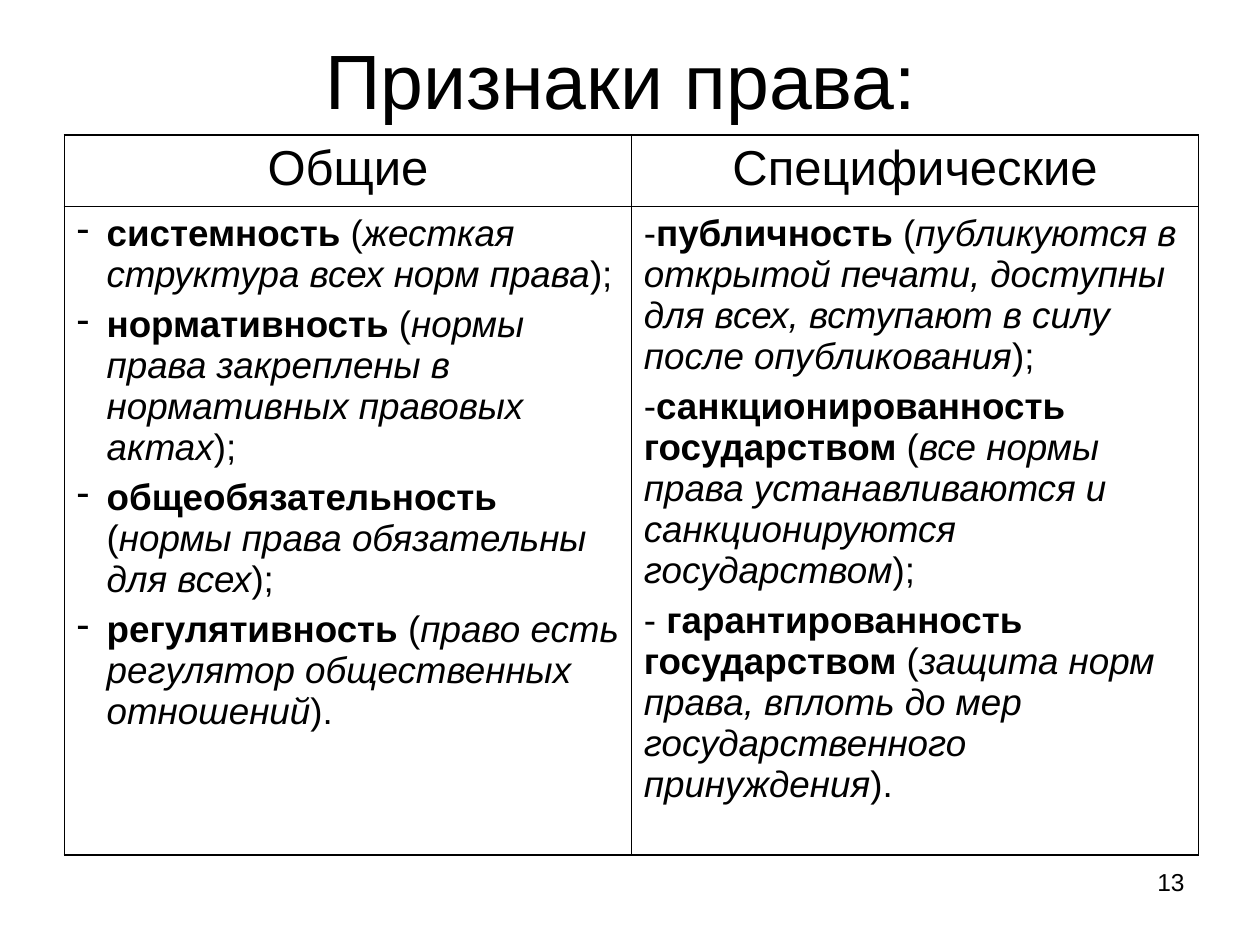
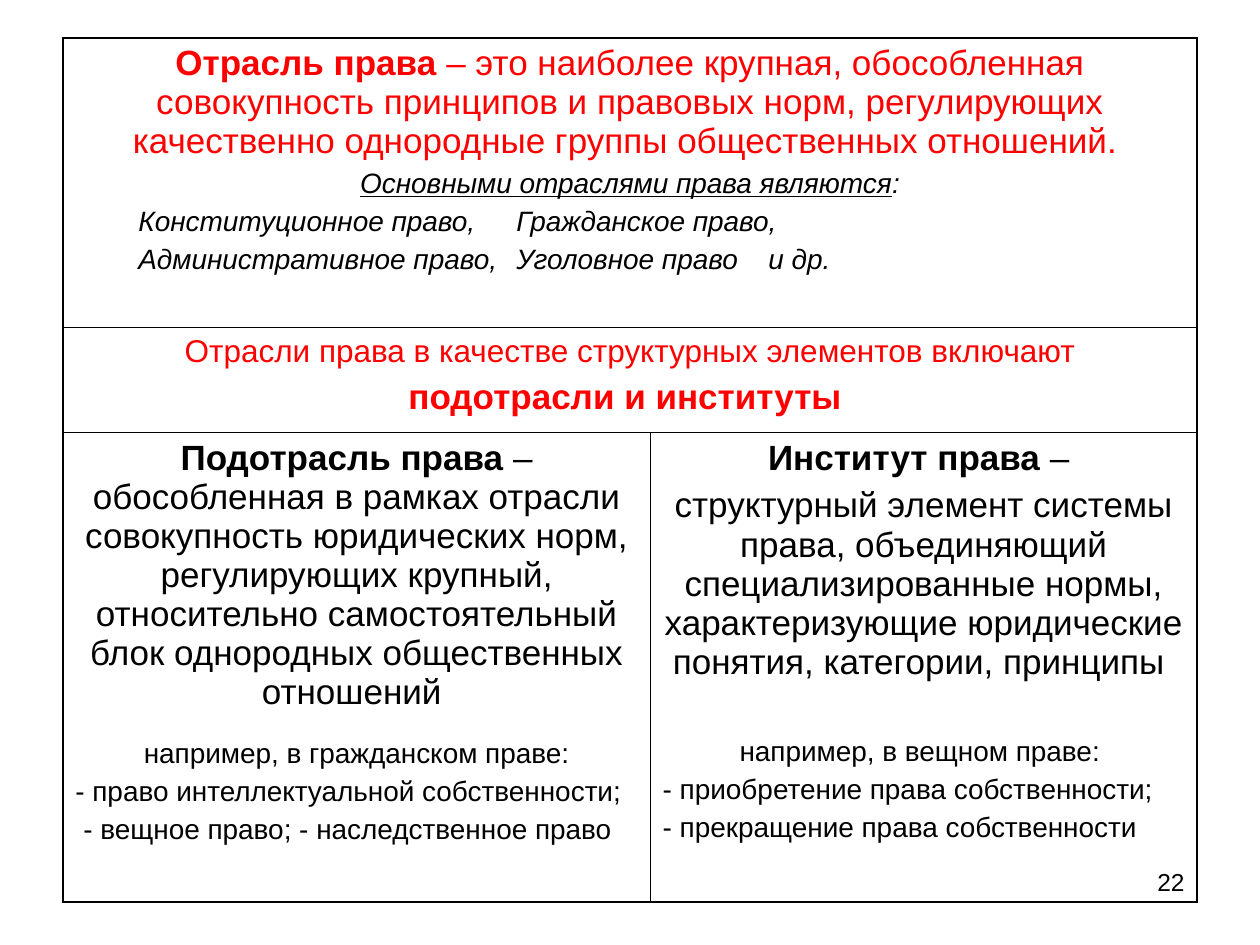
from dataclasses import dataclass
from typing import Optional

from lxml.etree import SubElement
from pptx import Presentation
from pptx.dml.color import RGBColor
from pptx.enum.text import MSO_ANCHOR, PP_ALIGN
from pptx.oxml.ns import qn
from pptx.util import Cm, Length, Pt


@dataclass(frozen=True)
class Theme:
    font: str = "Arial"
    ink: str = "000000"
    accent: str = "FF0000"
    title_size: float = 44
    header_size: float = 28
    feature_size: float = 21
    body_size: float = 20
    lead_size: float = 18
    example_size: float = 16
    number_size: float = 14
    outer_line: float = 1.08
    inner_line: float = 0.45
    side_margin: Length = Cm(0.25)
    top_margin: Length = Cm(0.13)


THEME = Theme()


@dataclass(frozen=True)
class Span:
    text: str
    bold: bool = False
    italic: bool = False
    underline: bool = False


@dataclass(frozen=True)
class Para:
    spans: tuple[Span, ...]
    size: float = THEME.body_size
    color: str = THEME.ink
    align: PP_ALIGN = PP_ALIGN.CENTER
    before: float = 5
    bullet: Optional[str] = None
    indent: Length = Cm(0)
    tabs: tuple[Length, ...] = ()


@dataclass(frozen=True)
class Box:
    left: Length
    top: Length
    width: Length
    height: Length


@dataclass(frozen=True)
class Grid:
    """A table: cells maps (row, column) to text; merged_rows span all columns."""
    left: Length
    top: Length
    columns: tuple[Length, ...]
    rows: tuple[Length, ...]
    cells: dict[tuple[int, int], list[Para]]
    merged_rows: tuple[int, ...] = ()


TITLE_BOX = Box(Cm(1.09), Cm(0.53), Cm(22.86), Cm(2.13))
NUMBER_BOX = Box(Cm(18.21), Cm(17.35), Cm(5.92), Cm(1.32))


def feature(dash: str, term: str, meaning: str, end: str = ");", bullet: Optional[str] = None) -> Para:
    spans = (Span(term, bold=True), Span(" ("), Span(meaning, italic=True), Span(end))
    if dash:
        spans = (Span(dash), *spans)
    return Para(spans, THEME.feature_size, align=PP_ALIGN.LEFT, before=5.2, bullet=bullet,
                indent=Cm(0.6) if bullet else Cm(0))


def example(text: str, align: PP_ALIGN = PP_ALIGN.LEFT, before: float = 4, indent: Length = Cm(0)) -> Para:
    return Para((Span(text),), THEME.example_size, align=align, before=before, indent=indent)


def branches(text: str, *tabs: Length) -> Para:
    """A line of law branches, each set at its own tab stop."""
    return Para((Span(text, italic=True),), THEME.example_size, align=PP_ALIGN.LEFT, before=4, tabs=tabs)


def write(text_frame, paragraphs: list[Para]) -> None:
    for index, source in enumerate(paragraphs):
        paragraph = text_frame.paragraphs[0] if index == 0 else text_frame.add_paragraph()
        paragraph.alignment = source.align
        if index:
            paragraph.space_before = Pt(source.before)
        properties = paragraph._p.get_or_add_pPr()
        properties.set("marL", str(source.indent))
        properties.set("indent", str(-source.indent if source.bullet else 0))
        if source.bullet:
            SubElement(properties, qn("a:buChar"), char=source.bullet)
        else:
            SubElement(properties, qn("a:buNone"))
        if source.tabs:
            stops = SubElement(properties, qn("a:tabLst"))
            for position in source.tabs:
                SubElement(stops, qn("a:tab"), pos=str(position), algn="l")
        for span in source.spans:
            run = paragraph.add_run()
            run.text = span.text
            run.font.name = THEME.font
            run.font.size = Pt(source.size)
            run.font.color.rgb = RGBColor.from_string(source.color)
            run.font.bold = span.bold
            run.font.italic = span.italic
            run.font.underline = span.underline


def add_text(slide, box: Box, paragraph: Para, anchor: MSO_ANCHOR = MSO_ANCHOR.TOP) -> None:
    shape = slide.shapes.add_textbox(box.left, box.top, box.width, box.height)
    frame = shape.text_frame
    frame.word_wrap = True
    frame.vertical_anchor = anchor
    write(frame, [paragraph])


def add_page_number(slide, number: int) -> None:
    add_text(slide, NUMBER_BOX, Para((Span(str(number)),), THEME.number_size, align=PP_ALIGN.RIGHT))


def set_borders(cell, outer_sides: dict[str, bool]) -> None:
    properties = cell._tc.get_or_add_tcPr()
    for side, is_outer in outer_sides.items():
        width = Pt(THEME.outer_line if is_outer else THEME.inner_line)
        line = SubElement(properties, qn(f"a:ln{side}"), w=str(width))
        fill = SubElement(line, qn("a:solidFill"))
        SubElement(fill, qn("a:srgbClr"), val=THEME.ink)


def add_grid(slide, grid: Grid) -> None:
    row_count, column_count = len(grid.rows), len(grid.columns)
    table = slide.shapes.add_table(row_count, column_count, grid.left, grid.top,
                                   sum(grid.columns), sum(grid.rows)).table
    table.first_row = table.horz_banding = False
    for column, width in zip(table.columns, grid.columns):
        column.width = width
    for row, height in zip(table.rows, grid.rows):
        row.height = height
    for row in grid.merged_rows:
        table.cell(row, 0).merge(table.cell(row, column_count - 1))
    for (row, column), paragraphs in grid.cells.items():
        cell = table.cell(row, column)
        cell.margin_left = cell.margin_right = THEME.side_margin
        cell.margin_top = cell.margin_bottom = THEME.top_margin
        set_borders(cell, {
            "L": column == 0,
            "R": row in grid.merged_rows or column == column_count - 1,
            "T": row == 0,
            "B": row == row_count - 1,
        })
        cell.fill.background()
        write(cell.text_frame, paragraphs)


LAW_FEATURES = Grid(
    left=Cm(1.3), top=Cm(2.72),
    columns=(Cm(11.43), Cm(11.43)), rows=(Cm(1.44), Cm(13.07)),
    cells={
        (0, 0): [Para((Span("Общие"),), THEME.header_size)],
        (0, 1): [Para((Span("Специфические"),), THEME.header_size)],
        (1, 0): [
            feature("", "системность", "жесткая структура всех норм права", bullet="-"),
            feature("", "нормативность", "нормы права закреплены в нормативных правовых актах", bullet="-"),
            feature("", "общеобязательность", "нормы права обязательны для всех", bullet="-"),
            feature("", "регулятивность", "право есть регулятор общественных отношений", ").", bullet="-"),
        ],
        (1, 1): [
            feature("-", "публичность",
                    "публикуются в открытой печати, доступны для всех, вступают в силу после опубликования"),
            feature("-", "санкционированность государством",
                    "все нормы права устанавливаются и санкционируются государством"),
            feature("- ", "гарантированность государством",
                    "защита норм права, вплоть до мер государственного принуждения", ")."),
        ],
    },
)

LAW_BRANCHES = Grid(
    left=Cm(1.27), top=Cm(0.76),
    columns=(Cm(11.84), Cm(11.02)), rows=(Cm(5.84), Cm(2.11), Cm(9.47)),
    merged_rows=(0, 1),
    cells={
        (0, 0): [
            Para((Span("Отрасль права", bold=True),
                  Span(" – это наиболее крупная, обособленная совокупность принципов и правовых норм, "
                       "регулирующих качественно однородные группы общественных отношений. ")),
                 color=THEME.accent),
            Para((Span("Основными отраслями права являются", italic=True, underline=True),
                  Span(":", italic=True)), THEME.example_size, before=4),
            branches("\tКонституционное право,\tГражданское право,", Cm(4.45), Cm(12.49)),
            branches("\tАдминистративное право,\tУголовное право\tи др.", Cm(3.76), Cm(12.39), Cm(17.32)),
        ],
        (1, 0): [
            Para((Span("Отрасли права в качестве структурных элементов включают"),),
                 THEME.lead_size, THEME.accent),
            Para((Span("подотрасли и институты ", bold=True),), color=THEME.accent),
        ],
        (2, 0): [
            Para((Span("Подотрасль права", bold=True),
                  Span(" – обособленная в рамках отрасли совокупность юридических норм, регулирующих "
                       "крупный, относительно самостоятельный блок однородных общественных отношений "))),
            example("например, в гражданском праве:", PP_ALIGN.CENTER, before=15),
            example("- право интеллектуальной собственности;"),
            example("- вещное право; - наследственное право", indent=Cm(0.16)),
        ],
        (2, 1): [
            Para((Span("Институт права", bold=True), Span(" – "))),
            Para((Span("структурный элемент системы права, объединяющий специализированные нормы, "
                       "характеризующие юридические понятия, категории, принципы "),)),
            example("например, в вещном праве: ", PP_ALIGN.CENTER, before=31.3),
            example("- приобретение права собственности;"),
            example("- прекращение права собственности"),
        ],
    },
)


def main() -> None:
    presentation = Presentation()
    presentation.slide_width, presentation.slide_height = Cm(25.4), Cm(19.05)
    blank_layout = presentation.slide_layouts[6]

    features_slide = presentation.slides.add_slide(blank_layout)
    add_page_number(features_slide, 13)
    add_text(features_slide, TITLE_BOX, Para((Span("Признаки права:"),), THEME.title_size), MSO_ANCHOR.MIDDLE)
    add_grid(features_slide, LAW_FEATURES)

    branches_slide = presentation.slides.add_slide(blank_layout)
    add_page_number(branches_slide, 22)
    add_grid(branches_slide, LAW_BRANCHES)

    presentation.save("out.pptx")


if __name__ == "__main__":
    main()
